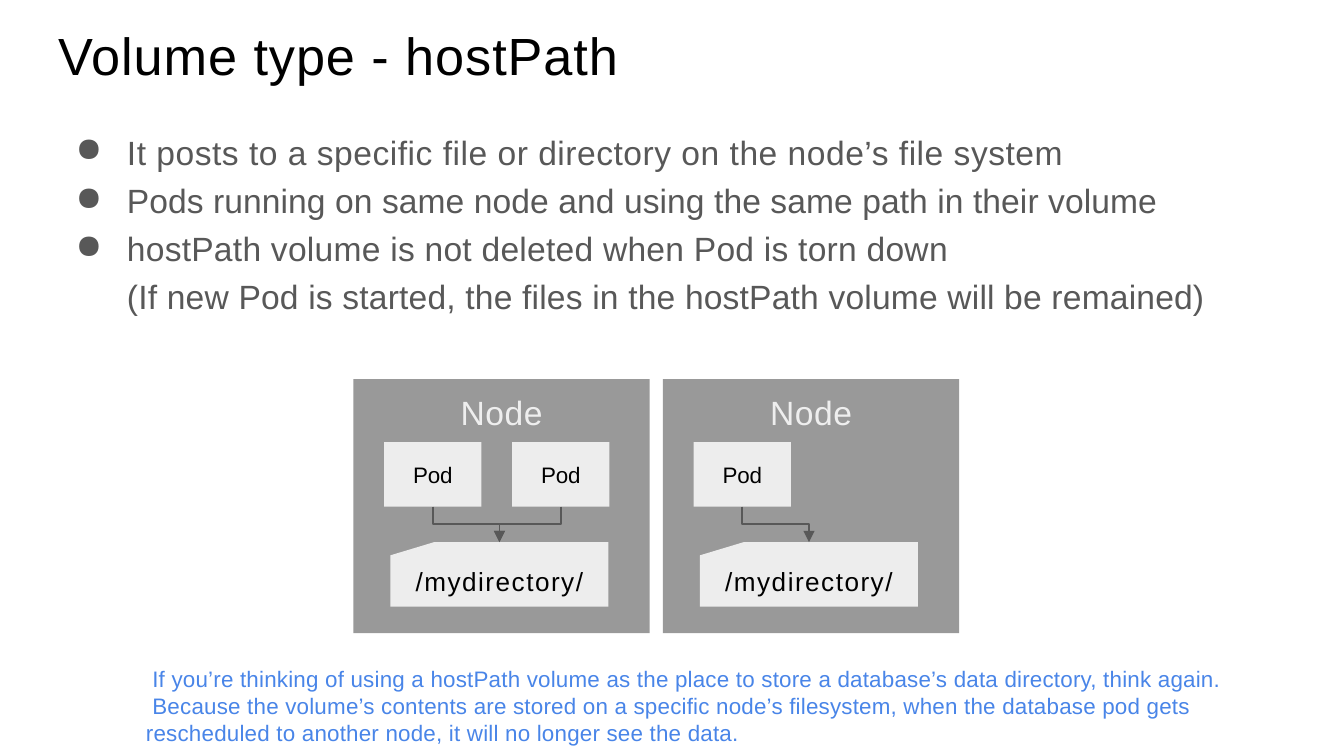
from dataclasses import dataclass

import pptx
import pptx.dml.color
import pptx.enum.shapes
import pptx.enum.text
import pptx.oxml.ns
import pptx.util
from lxml import etree

Cm = pptx.util.Cm
Pt = pptx.util.Pt
RGBColor = pptx.dml.color.RGBColor
Align = pptx.enum.text.PP_ALIGN
Anchor = pptx.enum.text.MSO_ANCHOR
qn = pptx.oxml.ns.qn

BLACK = RGBColor(0x00, 0x00, 0x00)
DARK = RGBColor(0x58, 0x58, 0x58)
GREY = RGBColor(0x99, 0x99, 0x99)
LIGHT = RGBColor(0xED, 0xED, 0xED)
PALE = RGBColor(0xEE, 0xEE, 0xEE)
BLUE = RGBColor(0x49, 0x85, 0xE8)

NODE_TOP, NODE_WIDE, NODE_HIGH = 7.16, 5.6, 4.8
POD_TOP, POD_WIDE = 1.19, 1.84
DIR_LEFT, DIR_TOP, DIR_WIDE = 0.7, 3.08, 4.12
BOX_HIGH = 1.22


@dataclass
class Line:
    text: str
    track: float = 0
    mark: str = ""


@dataclass
class Node:
    left: float
    pods: tuple[float, ...]


POINTS = [
    Line("It posts to a specific file or directory on the node’s file system", 0.29, "●"),
    Line("Pods running on same node and using the same path in their volume", 0.07, "●"),
    Line("hostPath volume is not deleted when Pod is torn down", 0.14, "●"),
    Line("(If new Pod is started, the files in the hostPath volume will be remained)", 0.12),
]
WARNING = (
    "If you’re thinking of using a hostPath volume as the place to store "
    "a database’s data directory, think again.\v"
    " Because the volume’s contents are stored on a specific node’s filesystem, "
    "when the database pod gets\v"
    "rescheduled to another node, it will no longer see the data."
)
NODES = [Node(6.68, (0.58, 3.0)), Node(12.53, (0.58,))]


def write(shape, lines: list[Line], *, size: float, color: RGBColor,
          align=Align.LEFT, anchor=Anchor.TOP, top: float = 0, base: float = 0,
          after: float = 0, indent: float = 0, first: float = 0) -> None:
    frame = shape.text_frame
    frame.word_wrap = True
    frame.vertical_anchor = anchor
    frame.margin_left = frame.margin_right = 0
    frame.margin_top, frame.margin_bottom = Cm(top), Cm(base)
    for i, line in enumerate(lines):
        para = frame.paragraphs[0] if i == 0 else frame.add_paragraph()
        para.alignment = align
        para.space_after = Pt(after)
        props = para._p.get_or_add_pPr()
        props.set("marL", str(Cm(indent)))
        props.set("indent", str(Cm(first)))
        if line.mark:
            props.set("indent", str(Cm(-0.97)))
            etree.SubElement(props, qn("a:buChar")).set("char", line.mark)
        for j, part in enumerate(line.text.split("\v")):
            if j:
                para.add_line_break()
            run = para.add_run()
            run.text = part
            run.font.name = "Arial"
            run.font.size = Pt(size)
            run.font.color.rgb = color
            run._r.get_or_add_rPr().set("spc", str(round(line.track * 100)))


def label(slide, left: float, top: float, wide: float, high: float):
    return slide.shapes.add_textbox(Cm(left), Cm(top), Cm(wide), Cm(high))


def paint(shape, color: RGBColor):
    shape.shadow.inherit = False
    shape.fill.solid()
    shape.fill.fore_color.rgb = color
    shape.line.fill.background()
    return shape


def block(slide, left: float, top: float, wide: float, high: float, color: RGBColor):
    kind = pptx.enum.shapes.MSO_SHAPE.RECTANGLE
    return paint(slide.shapes.add_shape(kind, Cm(left), Cm(top), Cm(wide), Cm(high)), color)


def trace(slide, points: list[tuple[float, float]], close: bool):
    spots = [(Cm(x), Cm(y)) for x, y in points]
    pen = slide.shapes.build_freeform(*spots[0])
    pen.add_line_segments(spots[1:], close=close)
    return pen.convert_to_shape()


def folder(slide, left: float, top: float) -> None:
    right, base = left + DIR_WIDE, top + BOX_HIGH
    points = [(right, top), (left + 0.83, top), (left, top + 0.25), (left, base), (right, base)]
    shape = paint(trace(slide, points, True), LIGHT)
    write(shape, [Line("/mydirectory/", 0.8)], size=14, color=BLACK,
          align=Align.CENTER, anchor=Anchor.BOTTOM, base=0.18)


def arrow(slide, start: tuple[float, float], end: tuple[float, float]) -> None:
    mid = (start[1] + end[1]) / 2
    shape = trace(slide, [start, (start[0], mid), (end[0], mid), end], False)
    shape.shadow.inherit = False
    shape.fill.background()
    shape.line.color.rgb = DARK
    shape.line.width = Pt(1)
    etree.SubElement(shape.line._get_or_add_ln(), qn("a:tailEnd")).set("type", "triangle")


def draw(slide, node: Node) -> None:
    box = block(slide, node.left, NODE_TOP, NODE_WIDE, NODE_HIGH, GREY)
    write(box, [Line("Node", 0.3)], size=18, color=PALE, align=Align.CENTER, top=0.25)
    left, top = node.left + DIR_LEFT, NODE_TOP + DIR_TOP
    folder(slide, left, top)
    for shift in node.pods:
        x, y = node.left + shift, NODE_TOP + POD_TOP
        pod = block(slide, x, y, POD_WIDE, BOX_HIGH, LIGHT)
        write(pod, [Line("Pod", -0.1)], size=12, color=BLACK,
              align=Align.CENTER, anchor=Anchor.MIDDLE)
        arrow(slide, (x + POD_WIDE / 2, y + BOX_HIGH), (left + DIR_WIDE / 2, top))


def main() -> None:
    deck = pptx.Presentation()
    deck.slide_width, deck.slide_height = Cm(25.4), Cm(14.28)
    slide = deck.slides.add_slide(deck.slide_layouts[6])
    write(label(slide, 1.1, 0.44, 12, 1.2), [Line("Volume type - hostPath", 0.55)],
          size=28, color=BLACK)
    write(label(slide, 1.4, 2.49, 22, 3.4), POINTS, size=18, color=DARK, after=4.2, indent=1)
    for node in NODES:
        draw(slide, node)
    write(label(slide, 2.76, 12.56, 21, 1.5), [Line(WARNING, 0.1)],
          size=12, color=BLUE, first=0.12)
    deck.save("out.pptx")


if __name__ == "__main__":
    main()
